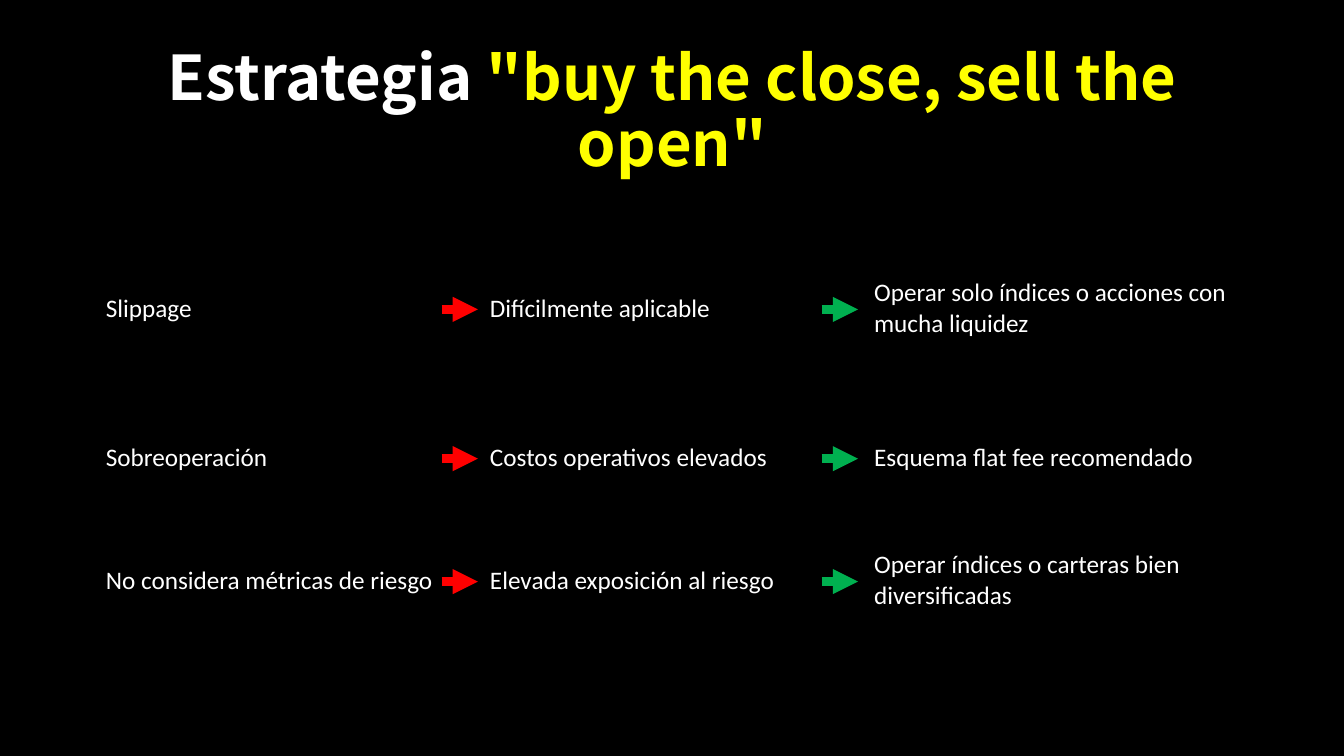
"""Build the slide on the limits of the "buy the close, sell the open" strategy."""
from lxml import etree
from pptx import Presentation
from pptx.dml.color import RGBColor
from pptx.enum.shapes import MSO_CONNECTOR
from pptx.enum.text import MSO_ANCHOR, PP_ALIGN
from pptx.oxml.ns import qn
from pptx.util import Inches, Pt

STRAIGHT = MSO_CONNECTOR.STRAIGHT
MIDDLE = MSO_ANCHOR.MIDDLE
CENTER = PP_ALIGN.CENTER
COLORS = {"black": "000000", "white": "FFFFFF", "yellow": "FFFF00",
          "red": "FF0000", "green": "00B050"}
TITLE_SPANS = [("Estrategia ", "white"), ('"buy the close, sell the open"', "yellow")]
ROWS = [
    ("Slippage", "Difícilmente aplicable",
     "Operar solo índices o acciones con mucha liquidez"),
    ("Sobreoperación", "Costos operativos elevados", "Esquema flat fee recomendado"),
    ("No considera métricas de riesgo", "Elevada exposición al riesgo",
     "Operar índices o carteras bien diversificadas"),
]
ROW_HEIGHTS = [1.74, 1.22, 1.22]
COLUMN_WIDTH = 3.81
TABLE_LEFT, TABLE_TOP = 0.95, 2.19
ARROW_LENGTH = 0.36
ARROW_COLUMNS = [(4.38, "red"), (8.15, "green")]


def rgb(name):
    return RGBColor.from_string(COLORS[name])


def add_border(cell, side):
    border = etree.SubElement(cell._tc.get_or_add_tcPr(), qn(f"a:{side}"), w=str(Pt(1)))
    fill = etree.SubElement(border, qn("a:solidFill"))
    etree.SubElement(fill, qn("a:srgbClr"), val=COLORS["black"])


deck = Presentation()
deck.slide_width, deck.slide_height = Inches(13.33), Inches(7.5)
page = deck.slides.add_slide(deck.slide_layouts[6])
page.background.fill.solid()
page.background.fill.fore_color.rgb = rgb("black")

title_box = page.shapes.add_textbox(Inches(0.92), Inches(0.4), Inches(11.5), Inches(1.45))
title_box.text_frame.word_wrap = True
title_box.text_frame.vertical_anchor = MIDDLE
title = title_box.text_frame.paragraphs[0]
title.alignment = CENTER
title.line_spacing = 0.9
title.font.name = "Noto Sans CJK TC"
title.font.size = Pt(44)
title.font.bold = True
for text, color in TITLE_SPANS:
    span = title.add_run()
    span.text = text
    span.font.color.rgb = rgb(color)

table = page.shapes.add_table(
    len(ROWS), len(ROWS[0]), Inches(TABLE_LEFT), Inches(TABLE_TOP),
    Inches(COLUMN_WIDTH * len(ROWS[0])), Inches(sum(ROW_HEIGHTS))).table
table.first_row = False
table.horz_banding = False
for column in table.columns:
    column.width = Inches(COLUMN_WIDTH)
for row, height, texts in zip(table.rows, ROW_HEIGHTS, ROWS):
    row.height = Inches(height)
    for cell, text in zip(row.cells, texts):
        cell.text = text
        cell.vertical_anchor = MIDDLE
        for side in ("lnL", "lnR", "lnT", "lnB"):
            add_border(cell, side)
        cell.fill.background()
        para = cell.text_frame.paragraphs[0]
        para.font.name = "Calibri"
        para.font.size = Pt(18)
        para.font.color.rgb = rgb("white")

for left, color in ARROW_COLUMNS:
    for index, height in enumerate(ROW_HEIGHTS):
        middle = Inches(TABLE_TOP + sum(ROW_HEIGHTS[:index]) + height / 2 + 0.01)
        arrow = page.shapes.add_connector(
            STRAIGHT, Inches(left), middle, Inches(left + ARROW_LENGTH), middle)
        arrow.line.color.rgb = rgb(color)
        arrow.line.width = Pt(6)
        etree.SubElement(arrow.line._get_or_add_ln(), qn("a:tailEnd"), type="triangle")
        etree.SubElement(arrow._element.spPr, qn("a:effectLst"))

deck.save("out.pptx")
